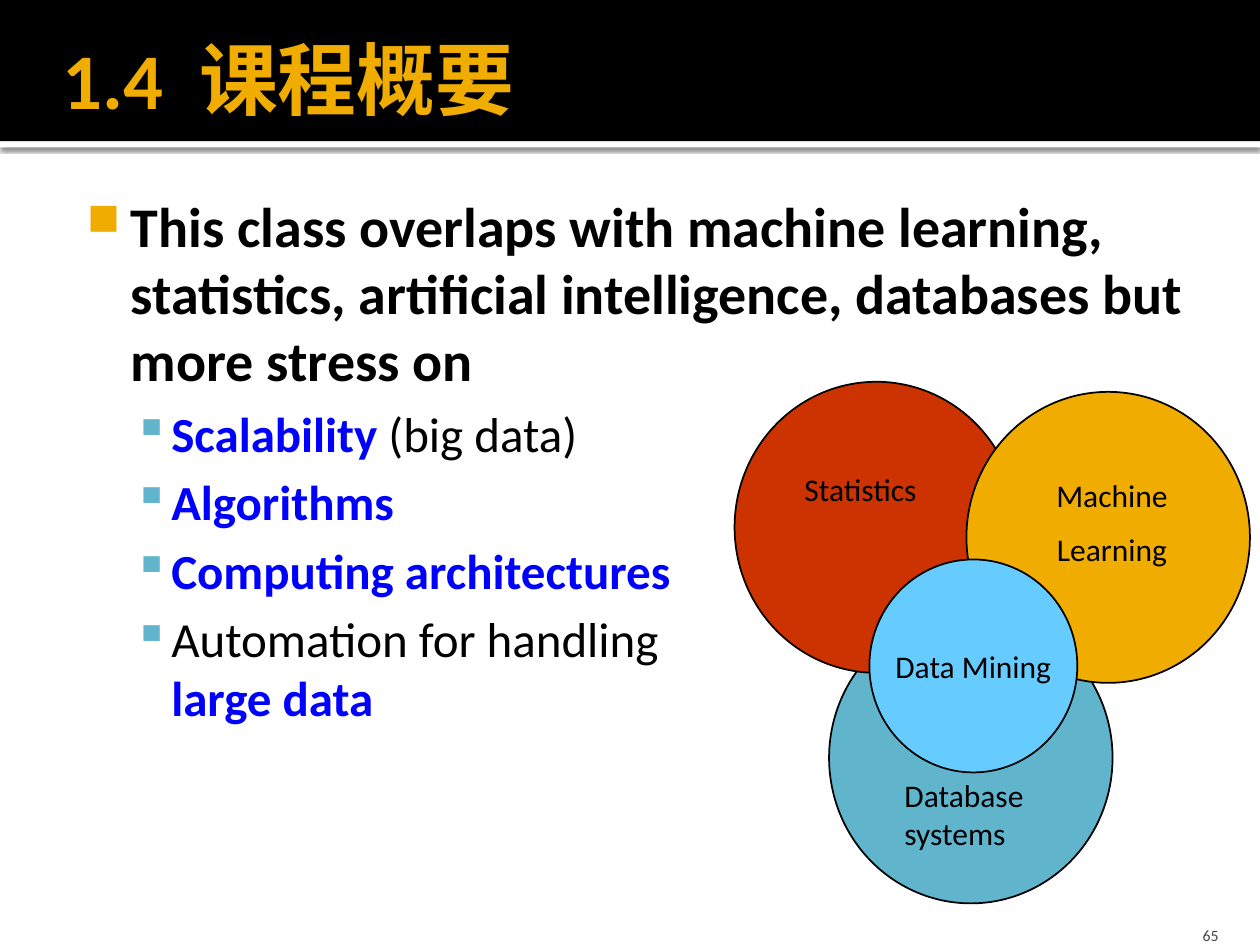
from dataclasses import dataclass

from lxml.etree import SubElement
from pptx import Presentation
from pptx.dml.color import RGBColor
from pptx.enum.shapes import MSO_SHAPE
from pptx.enum.text import MSO_ANCHOR, PP_ALIGN
from pptx.oxml.ns import qn
from pptx.util import Inches, Pt


@dataclass(frozen=True)
class Theme:
    font: str = "Calibri"
    black: str = "000000"
    white: str = "FFFFFF"
    gold: str = "F0AD00"
    teal: str = "60B5CC"
    red: str = "CC3300"
    sky: str = "66CCFF"
    blue: str = "0000FF"
    gray: str = "454545"
    title: int = 45
    head: int = 32
    item: int = 28
    label: int = 18
    foot: int = 9


class Deck:
    def __init__(self, theme):
        self.theme = theme
        self.prs = Presentation()
        self.prs.slide_width, self.prs.slide_height = Inches(10), Inches(7.5)
        self.slide = self.prs.slides.add_slide(self.prs.slide_layouts[6])

    def shape(self, kind, box, fill, line=None):
        form = self.slide.shapes.add_shape(kind, *map(Inches, box))
        form.shadow.inherit = False
        form.fill.solid()
        form.fill.fore_color.rgb = RGBColor.from_string(fill)
        if line:
            form.line.color.rgb = RGBColor.from_string(line)
            form.line.width = Pt(1)
        else:
            form.line.fill.background()
        return form

    def shade(self, form):
        effects = form._element.spPr.find(qn("a:effectLst"))
        outer = SubElement(effects, qn("a:outerShdw"), blurRad=str(Pt(2.5)),
                           dist=str(Pt(0.8)), dir="5400000", rotWithShape="0")
        color = SubElement(outer, qn("a:srgbClr"), val=self.theme.black)
        SubElement(color, qn("a:alpha"), val="60000")

    def circle(self, box, fill):
        return self.shape(MSO_SHAPE.OVAL, box, fill, self.theme.black)

    def text(self, box, pad=(0.1, 0.05, 0.1, 0.05), anchor=MSO_ANCHOR.TOP):
        frame = self.slide.shapes.add_textbox(*map(Inches, box)).text_frame
        frame.word_wrap = True
        frame.vertical_anchor = anchor
        (frame.margin_left, frame.margin_top,
         frame.margin_right, frame.margin_bottom) = map(Inches, pad)
        return frame

    def para(self, frame, align=PP_ALIGN.LEFT, gap=0):
        first = frame.paragraphs[0]
        para = frame.add_paragraph() if first.runs else first
        para.alignment = align
        para.space_before = Pt(gap)
        return para

    def bullet(self, para, mark, color, left, hang, scale=100):
        props = para._p.get_or_add_pPr()
        props.set("marL", str(Inches(left)))
        props.set("indent", str(-Inches(hang)))
        tint = SubElement(props, qn("a:buClr"))
        SubElement(tint, qn("a:srgbClr"), val=color)
        SubElement(props, qn("a:buSzPct"), val=str(scale * 1000))
        SubElement(props, qn("a:buChar"), char=mark)

    def run(self, para, words, size, color, bold=False):
        run = para.add_run()
        run.text = words
        run.font.name = self.theme.font
        run.font.size = Pt(size)
        run.font.bold = bold
        run.font.color.rgb = RGBColor.from_string(color)
        return run

    def label(self, frame, lines, align=PP_ALIGN.CENTER):
        for i, words in enumerate(lines):
            para = self.para(frame, align, 9 if i else 0)
            self.run(para, words, self.theme.label, self.theme.black)


def main():
    look = Theme()
    deck = Deck(look)

    # Title band
    strip = deck.shape(MSO_SHAPE.RECTANGLE, (0, 1.12, 10, 0.05), look.white)
    deck.shade(strip)
    deck.shape(MSO_SHAPE.RECTANGLE, (0, 0, 10, 1.12), look.black)
    frame = deck.text((0.5, 0.08, 9, 1.08), (0, 0.05, 0, 0.05), MSO_ANCHOR.MIDDLE)
    para = deck.para(frame)
    for words in ("1.4", " ", "课程概要"):
        run = deck.run(para, words, look.title, look.gold, True)
        if words == " ":
            run.font._element.set("spc", "1000")  # widen the gap

    # Bullets
    frame = deck.text((0.5, 1.42, 9, 5.75), (0.06, 0.1, 0.1, 0.05))
    para = deck.para(frame)
    deck.bullet(para, "■", look.gold, 0.48, 0.35, 80)
    deck.run(para, "This class overlaps with machine learning, statistics, "
             "artificial intelligence, databases but more stress on",
             look.head, look.black, True)
    items = (
        (("Scalability ", True), ("(big data)", False)),
        (("Algorithms", True),),
        (("Computing architectures", True),),
        (("Automation for handling ", False), None, ("large data", True)),
    )
    for item in items:
        para = deck.para(frame, gap=look.item * 0.2)
        deck.bullet(para, "▪", look.teal, 0.8, 0.3)
        for part in item:
            if part is None:
                para.add_line_break()
                continue
            words, key = part
            deck.run(para, words, look.item, look.blue if key else look.black, key)

    # Page number
    frame = deck.text((8.97, 7.2, 0.8, 0.3), (0.1, 0.05, 0.1, 0), MSO_ANCHOR.BOTTOM)
    deck.run(deck.para(frame, PP_ALIGN.RIGHT), "65", look.foot, look.gray)

    # Overlapping fields
    for left, top, fill in ((6.58, 4.86, look.teal), (5.83, 3.03, look.red),
                            (7.67, 3.11, look.gold)):
        deck.circle((left, top, 2.25, 2.31), fill)
    frame = deck.text((7.7, 3.73, 2.25, 0.86), (0, 0.05, 0, 0.05))
    deck.label(frame, ("Machine", "Learning"))
    deck.label(deck.text((6.08, 3.68, 1.5, 0.4)), ("Statistics",))

    # Shared core
    frame = deck.circle((6.9, 4.44, 1.65, 1.69), look.sky).text_frame
    frame.word_wrap = False
    frame.vertical_anchor = MSO_ANCHOR.MIDDLE
    deck.label(frame, ("Data Mining",))
    frame = deck.text((7.08, 6.11, 1.58, 0.7))
    deck.label(frame, ("Database systems",), PP_ALIGN.LEFT)

    deck.prs.save("out.pptx")


if __name__ == "__main__":
    main()
